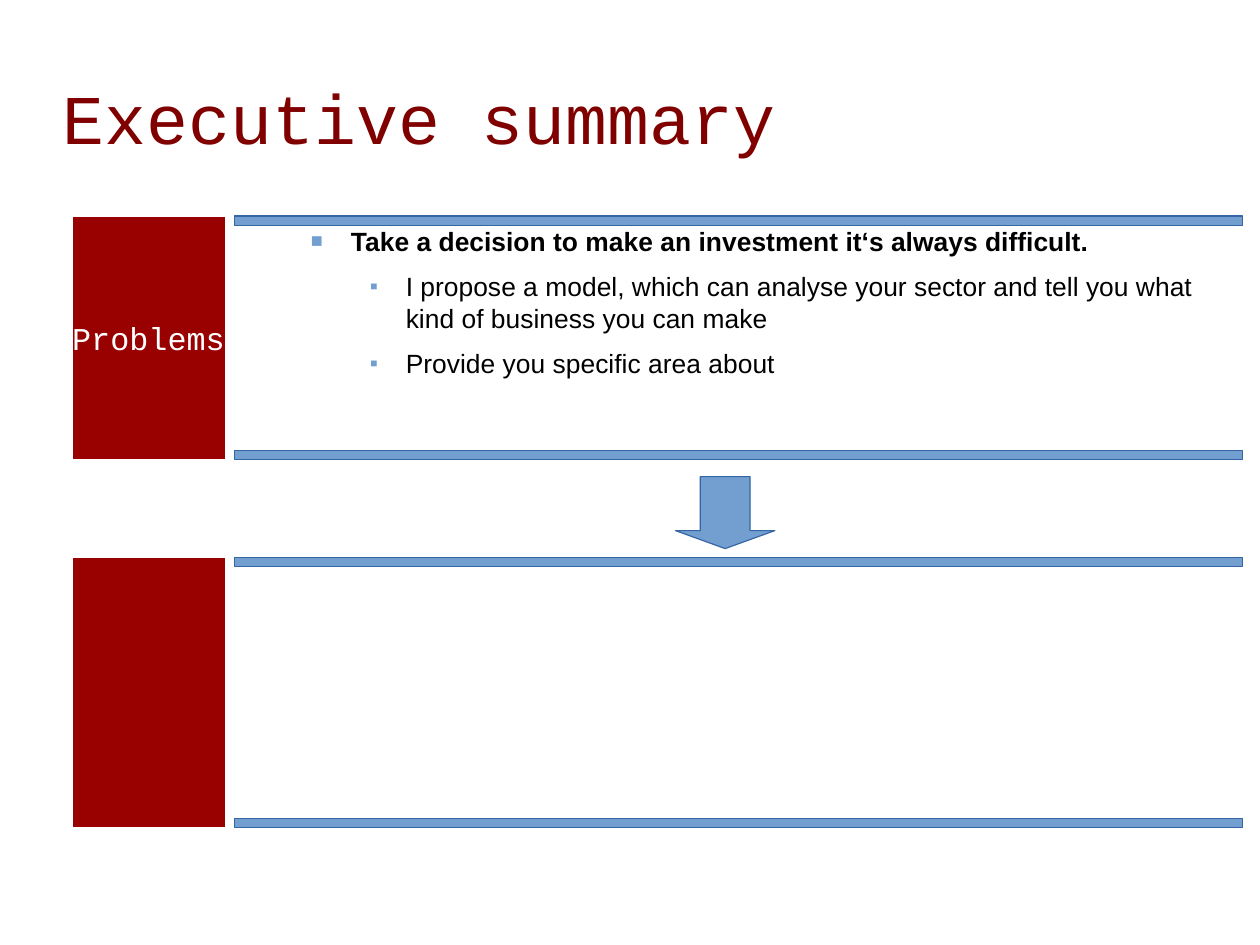
from dataclasses import dataclass

from lxml.etree import SubElement
from pptx import Presentation
from pptx.dml.color import RGBColor
from pptx.enum.shapes import MSO_SHAPE
from pptx.enum.text import MSO_ANCHOR, MSO_AUTO_SIZE, PP_ALIGN
from pptx.oxml.ns import qn
from pptx.util import Inches, Pt

COLORS = {
    "title": "800000",
    "panel": "990000",
    "bar": "729FCF",
    "edge": "3465A4",
    "white": "FFFFFF",
    "black": "000000",
}
BAR = 0.08
INCH = 2.54  # centimetres


@dataclass
class Band:
    top: float
    height: float
    label: str


@dataclass
class Level:
    left: float
    hang: float
    before: float
    bullet: int
    bold: bool


@dataclass
class Item:
    level: int
    text: str


BANDS = [Band(1.89, 2.13, "Problems"), Band(4.88, 2.36, "")]
LEVELS = {
    1: Level(0.94, 0.35, 11.3, 75, True),
    2: Level(1.42, 0.31, 8.5, 45, False),
}
ITEMS = [
    Item(1, "Take a decision to make an investment it‘s always difficult."),
    Item(2, "I propose a model, which can analyse your sector and tell you what "
            "kind of business you can make"),
    Item(2, "Provide you specific area about"),
]


def color(name: str) -> RGBColor:
    return RGBColor.from_string(COLORS[name])


def write(para, text: str, *, size: float, font: str, tint: str,
          bold: bool = False, align=PP_ALIGN.LEFT) -> None:
    para.alignment = align
    run = para.add_run()
    run.text = text
    run.font.size = Pt(size)
    run.font.name = font
    run.font.bold = bold
    run.font.color.rgb = color(tint)


def place(shape, left: float, top: float, width: float, height: float, anchor):
    """Move a placeholder and clear its margins."""
    shape.left, shape.top = Inches(left), Inches(top)
    shape.width, shape.height = Inches(width), Inches(height)
    frame = shape.text_frame
    frame.margin_left = frame.margin_right = 0
    frame.margin_top = frame.margin_bottom = 0
    frame.auto_size = MSO_AUTO_SIZE.NONE
    frame.vertical_anchor = anchor
    return frame


def draw(slide, kind, left: float, top: float, width: float, height: float,
         fill: str, edge: str):
    shape = slide.shapes.add_shape(
        kind, Inches(left), Inches(top), Inches(width), Inches(height))
    shape.shadow.inherit = False
    shape.fill.solid()
    shape.fill.fore_color.rgb = color(fill)
    shape.line.color.rgb = color(edge)
    shape.line.width = Pt(0)
    return shape


def indent(para, level: Level) -> None:
    """Set the hanging indent and the square bullet."""
    para.space_before = Pt(level.before)
    props = para._p.get_or_add_pPr()
    props.set("marL", str(Inches(level.left)))
    props.set("indent", str(-Inches(level.hang)))
    tint = SubElement(props, qn("a:buClr"))
    SubElement(tint, qn("a:srgbClr"), val=COLORS["bar"])
    SubElement(props, qn("a:buSzPct"), val=str(level.bullet * 1000))
    SubElement(props, qn("a:buFont"), typeface="Arial")
    SubElement(props, qn("a:buChar"), char="■")


def add_band(slide, band: Band) -> None:
    panel = draw(slide, MSO_SHAPE.RECTANGLE, 0.63, band.top, 1.34, band.height,
                 "panel", "white")
    if band.label:
        frame = panel.text_frame
        frame.word_wrap = False
        frame.vertical_anchor = MSO_ANCHOR.MIDDLE
        write(frame.paragraphs[0], band.label, size=20, font="Courier New",
              tint="white", align=PP_ALIGN.CENTER)
    for top in (band.top, band.top + band.height - BAR):
        draw(slide, MSO_SHAPE.RECTANGLE, 2.05, top, 8.82, BAR, "bar", "edge")


def main() -> None:
    deck = Presentation()
    deck.slide_width, deck.slide_height = Inches(28 / INCH), Inches(21 / INCH)
    slide = deck.slides.add_slide(deck.slide_layouts[1])

    # Title
    frame = place(slide.shapes.title, 0.55, 0.33, 9.92, 1.38, MSO_ANCHOR.MIDDLE)
    write(frame.paragraphs[0], "Executive summary", size=44,
          font="Courier New", tint="title")

    # Bands and the arrow between them
    for band in BANDS:
        add_band(slide, band)
    arrow = draw(slide, MSO_SHAPE.DOWN_ARROW, 5.91, 4.17, 0.87, 0.63,
                 "bar", "edge")
    arrow.adjustments[0], arrow.adjustments[1] = 0.5, 0.25

    # Bulleted list
    frame = place(slide.placeholders[1], 2.13, 1.97, 8.74, 1.89, MSO_ANCHOR.TOP)
    for spot, item in enumerate(ITEMS):
        para = frame.add_paragraph() if spot else frame.paragraphs[0]
        para.level = item.level - 1
        level = LEVELS[item.level]
        indent(para, level)
        write(para, item.text, size=16.65, font="Arial", tint="black",
              bold=level.bold)

    deck.save("out.pptx")


if __name__ == "__main__":
    main()
